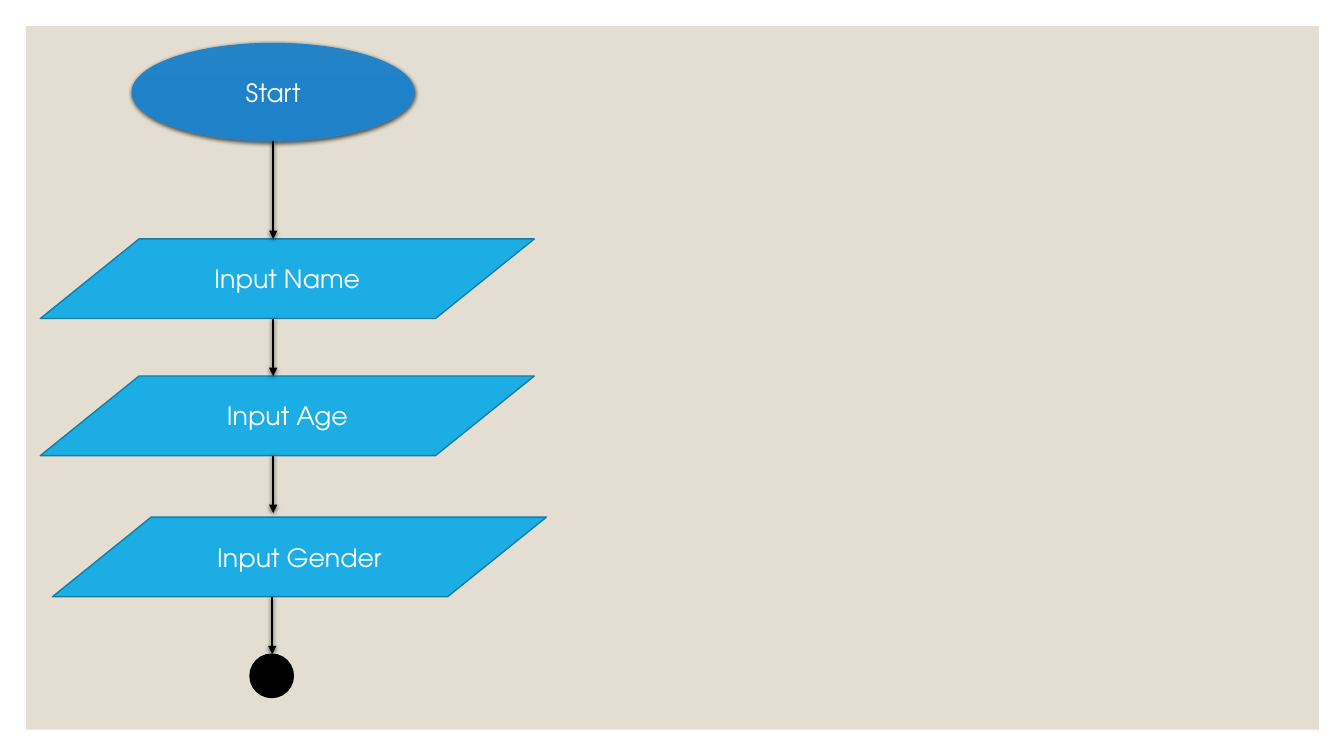
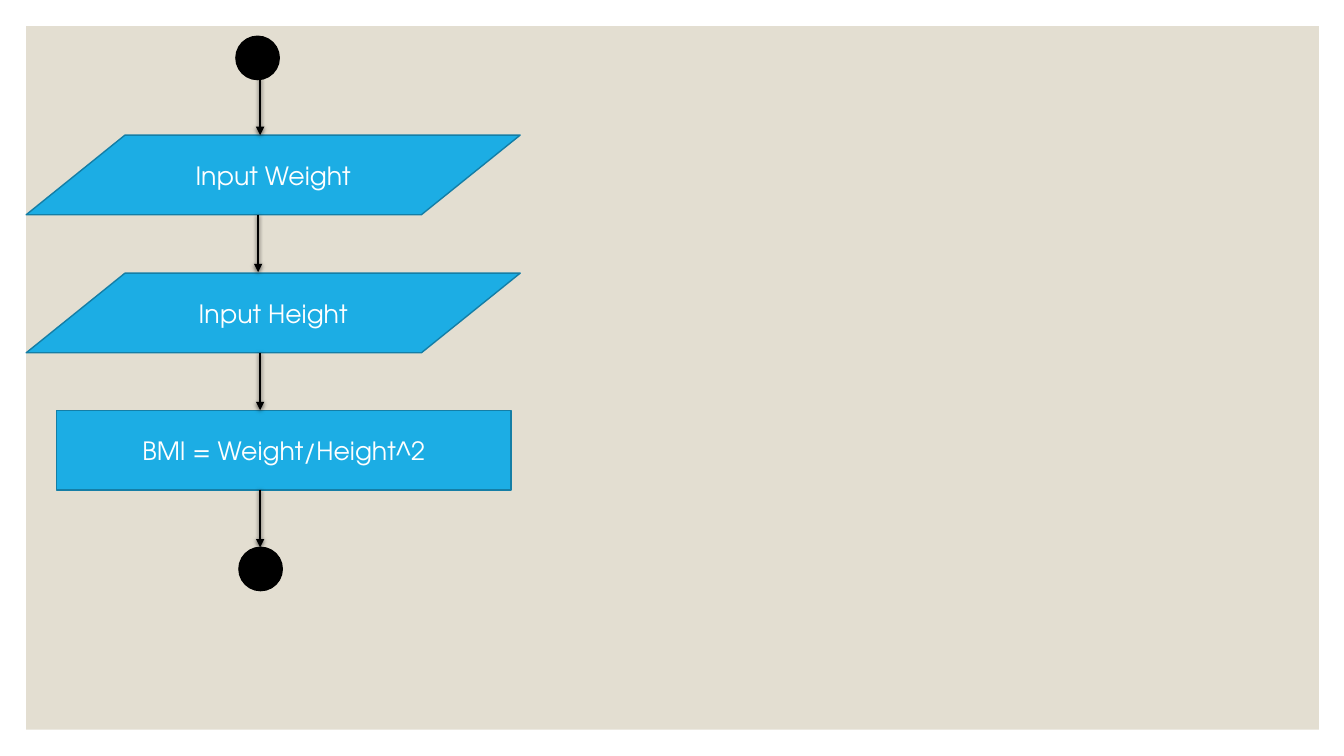
from copy import deepcopy

from pptx import Presentation
from pptx.dml.color import RGBColor
from pptx.enum.shapes import MSO_CONNECTOR, MSO_SHAPE
from pptx.enum.text import MSO_ANCHOR, PP_ALIGN
from pptx.oxml import parse_xml
from pptx.oxml.ns import nsdecls, qn
from pptx.util import Pt

PX = 9144
WIDTH, HEIGHT = 1333, 750
FONT = "TeX Gyre Adventor"
WHITE, BLACK, SAND = "FFFFFF", "000000", "E3DED1"
SKY, SKY_EDGE, START_EDGE = "1CADE4", "147EA6", "2683C6"
START_STOPS = [(0, "2483C6"), (0.5, "1F82C9"), (1, "2081C7")]

RECT, OVAL = MSO_SHAPE.RECTANGLE, MSO_SHAPE.OVAL
DATA, JOINT = MSO_SHAPE.FLOWCHART_DATA, MSO_SHAPE.FLOWCHART_CONNECTOR
STRAIGHT = MSO_CONNECTOR.STRAIGHT
CENTER, MIDDLE = PP_ALIGN.CENTER, MSO_ANCHOR.MIDDLE

BAND = (26, 26, 1282, 698)
SIZES = {OVAL: (280, 97), DATA: (490, 79), RECT: (451, 79), JOINT: (43, 43)}
ARROW = 57

FLOWCHARTS = [
    {
        "steps": [
            (OVAL, 131, 43, "Start"),
            (DATA, 40, 237, "Input Name"),
            (DATA, 40, 373, "Input Age"),
            (DATA, 52, 513, "Input Gender"),
            (JOINT, 248, 649, ""),
        ],
        "arrows": [(271, 140, 97), (271, 316, ARROW), (271, 452, ARROW), (270, 592, ARROW)],
    },
    {
        "steps": [
            (JOINT, 234, 36, ""),
            (DATA, 26, 134, "Input Weight"),
            (DATA, 26, 271, "Input Height"),
            (RECT, 56, 407, "BMI = Weight/Height^2"),
            (JOINT, 237, 543, ""),
        ],
        "arrows": [(258, 77, ARROW), (256, 213, ARROW), (258, 350, ARROW), (258, 486, ARROW)],
    },
]


def rgb(color):
    return RGBColor.from_string(color)


def emu(*lengths):
    return [n * PX for n in lengths]


def set_line(line, color, width):
    line.color.rgb = rgb(color)
    line.width = Pt(width)


def add_shadow(sp):
    sp._element.spPr.append(parse_xml(
        f'<a:effectLst {nsdecls("a")}>'
        '<a:outerShdw blurRad="38100" dist="12700" dir="5400000" rotWithShape="0">'
        '<a:srgbClr val="000000"><a:alpha val="63000"/></a:srgbClr>'
        '</a:outerShdw></a:effectLst>'))


def fill_start(sp):
    sp.fill.gradient()
    sp.fill.gradient_angle = 270
    stops = sp._element.spPr.find(".//" + qn("a:gsLst"))
    stops.insert(1, deepcopy(stops[0]))
    for stop, (position, color) in zip(sp.fill.gradient_stops, START_STOPS):
        stop.position = position
        stop.color.rgb = rgb(color)


def add_block(s, kind, box, color):
    sp = s.shapes.add_shape(kind, *emu(*box))
    sp.fill.solid()
    sp.fill.fore_color.rgb = rgb(color)
    return sp


def add_step(s, kind, left, top, text):
    color, edge = (BLACK, BLACK) if kind == JOINT else (SKY, SKY_EDGE)
    sp = add_block(s, kind, (left, top, *SIZES[kind]), color)
    if kind == OVAL:
        fill_start(sp)
        set_line(sp.line, START_EDGE, 0.75)
        add_shadow(sp)
    else:
        set_line(sp.line, edge, 1)
        sp.shadow.inherit = False
    if text:
        tf = sp.text_frame
        tf.text = text
        tf.word_wrap = True
        tf.vertical_anchor = MIDDLE
        p = tf.paragraphs[0]
        p.alignment = CENTER
        font = p.runs[0].font
        font.name, font.size = FONT, Pt(18)
        font.color.rgb = rgb(WHITE)


def add_arrow(s, x, top, length):
    arrow = s.shapes.add_connector(STRAIGHT, *emu(x, top, x, top + length))
    set_line(arrow.line, BLACK, 1.5)
    arrow.line._get_or_add_ln().append(
        parse_xml(f'<a:tailEnd {nsdecls("a")} type="triangle"/>'))
    add_shadow(arrow)


def add_band(s, layout):
    band = add_block(s, RECT, BAND, SAND)
    band.line.fill.background()
    band.shadow.inherit = False
    layout.shapes.element.insert(2, band._element)


def main():
    prs = Presentation()
    prs.slide_width, prs.slide_height = emu(WIDTH, HEIGHT)
    layout = prs.slide_layouts[6]
    for i, chart in enumerate(FLOWCHARTS):
        s = prs.slides.add_slide(layout)
        if i == 0:
            add_band(s, layout)
        for step in chart["steps"]:
            add_step(s, *step)
        for arrow in chart["arrows"]:
            add_arrow(s, *arrow)
    prs.save("out.pptx")


if __name__ == "__main__":
    main()
